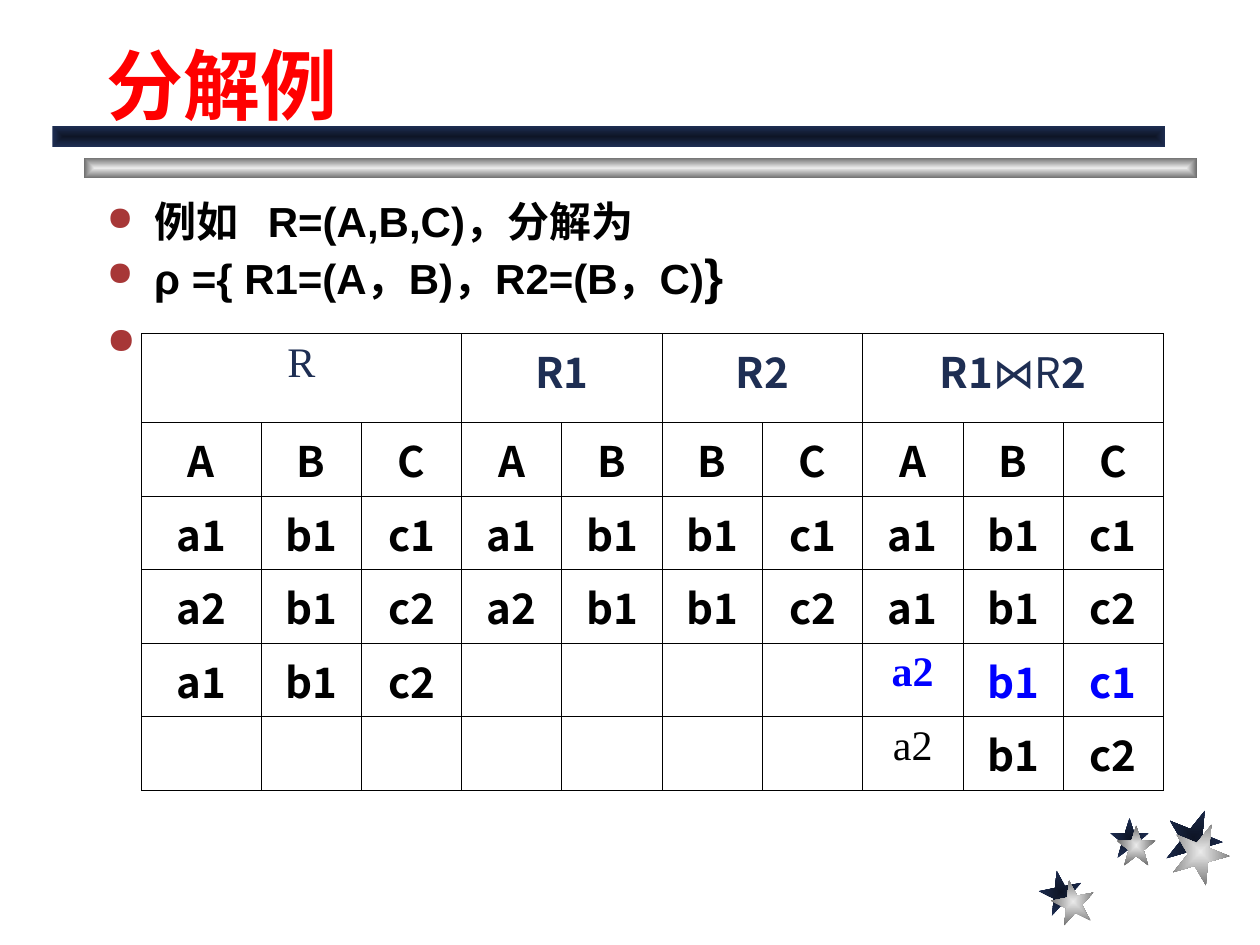
from dataclasses import dataclass
from math import cos, pi, sin

from lxml.etree import SubElement
from pptx import Presentation
from pptx.dml.color import RGBColor as Color
from pptx.enum.shapes import MSO_SHAPE as ShapeKind
from pptx.enum.text import MSO_ANCHOR as Anchor, PP_ALIGN as Align
from pptx.oxml.ns import qn
from pptx.util import Pt


@dataclass(frozen=True)
class Theme:
    navy: str = "1E2E53"
    dark_navy: str = "0E1526"
    silver: str = "EAEAEA"
    gray: str = "6C6C6C"
    red: str = "FF0000"
    bullet: str = "A73737"
    black: str = "000000"
    blue: str = "0000FF"
    sans: str = "Arial"
    cjk: str = "Noto Sans CJK SC"
    serif: str = "Times New Roman"
    title_size: float = 44
    body_size: float = 24
    brace_size: float = 28
    last_size: float = 26


THEME = Theme()
NAVY_GRADIENT = (THEME.dark_navy, THEME.navy)
SILVER_GRADIENT = (THEME.silver, THEME.gray)
HEADERS = [(0, 3, ["R"]), (3, 2, ["R1"]), (5, 2, ["R2"]), (7, 3, ["R1", "⋈R", "2"])]
ROWS = [
    "A B C A B B C A B C".split(),
    "a1 b1 c1 a1 b1 b1 c1 a1 b1 c1".split(),
    "a2 b1 c2 a2 b1 b1 c2 a1 b1 c2".split(),
    ["a1", "b1", "c2", "", "", "", "", "a2", "b1", "c1"],
    [""] * 7 + ["a2", "b1", "c2"],
]
JOIN_COLUMN = 7


def style_run(run, size, color, font, bold=True):
    run.font.size = Pt(size)
    run.font.name = font
    run.font.bold = bold
    run.font.color.rgb = Color.from_string(color)


def paint(shape, gradient):
    shape.shadow.inherit = False
    shape.line.fill.background()
    shape.fill.gradient()
    for stop, color in zip(shape.fill.gradient_stops, gradient):
        stop.color.rgb = Color.from_string(color)
    element = shape._element.spPr.find(qn("a:gradFill"))
    element.remove(element.find(qn("a:lin")))
    center = SubElement(element, qn("a:path"), path="rect")
    SubElement(center, qn("a:fillToRect"), l="50000", t="50000", r="50000", b="50000")


def add_bar(slide, left, top, gradient):
    bar = slide.shapes.add_shape(ShapeKind.RECTANGLE, Pt(left), Pt(top), Pt(636), Pt(12))
    paint(bar, gradient)


def add_star(slide, left, top, width, height, rotation, gradient):
    points = []
    for index in range(10):
        radius = 0.38 if index % 2 else 1
        angle = index * pi / 5
        across = 0.5 + radius * sin(angle) / (2 * sin(2 * pi / 5))
        down = (1 - radius * cos(angle)) / (1 + cos(pi / 5))
        points.append((Pt(left + width * across), Pt(top + height * down)))
    builder = slide.shapes.build_freeform(*points[0])
    builder.add_line_segments(points[1:], close=True)
    star = builder.convert_to_shape()
    star.rotation = rotation
    paint(star, gradient)


def add_text_box(slide, left, top, width, height, anchor):
    box = slide.shapes.add_textbox(Pt(left), Pt(top), Pt(width), Pt(height))
    box.text_frame.word_wrap = True
    box.text_frame.vertical_anchor = anchor
    return box.text_frame


def set_indent(paragraph, bulleted):
    properties = paragraph._p.get_or_add_pPr()
    properties.set("marL", str(Pt(27)))
    properties.set("indent", str(Pt(-27 if bulleted else 0)))
    if bulleted:
        color = SubElement(properties, qn("a:buClr"))
        SubElement(color, qn("a:srgbClr"), val=THEME.bullet)
        SubElement(properties, qn("a:buSzPct"), val="80000")
        SubElement(properties, qn("a:buChar"), char="●")


def add_title(slide):
    frame = add_text_box(slide, 54, 12, 612, 66, Anchor.BOTTOM)
    frame.text = "分解例"
    style_run(frame.paragraphs[0].runs[0], THEME.title_size, THEME.red, THEME.sans)


def add_body(slide):
    frame = add_text_box(slide, 54, 108, 623.5, 384, Anchor.TOP)
    frame.text = "例如\tR=(A,B,C)，分解为\nρ ={ R1=(A，B)，R2=(B，C)\n "
    example, decomposition, last = frame.paragraphs
    for paragraph in frame.paragraphs:
        set_indent(paragraph, paragraph is not decomposition)
    tabs = SubElement(example._p.pPr, qn("a:tabLst"))
    SubElement(tabs, qn("a:tab"), pos=str(Pt(92)), algn="l")
    decomposition.add_run().text = "}"
    last.space_before = Pt(6.5)
    for paragraph in frame.paragraphs:
        for run in paragraph.runs:
            style_run(run, THEME.body_size, THEME.black, THEME.sans)
    decomposition.runs[-1].font.size = Pt(THEME.brace_size)
    last.runs[0].font.size = Pt(THEME.last_size)


def set_borders(cell):
    properties = cell._tc.get_or_add_tcPr()
    for index, side in enumerate(("lnL", "lnR", "lnT", "lnB")):
        line = SubElement(properties, qn(f"a:{side}"), w=str(Pt(0.45)))
        fill = SubElement(line, qn("a:solidFill"))
        SubElement(fill, qn("a:srgbClr"), val=THEME.black)
        properties.insert(index, line)


def write_cell(cell, texts, color, font=THEME.cjk, bold=True):
    paragraph = cell.text_frame.paragraphs[0]
    paragraph.alignment = Align.CENTER
    for text in texts:
        run = paragraph.add_run()
        run.text = text
        style_run(run, THEME.body_size, color, font, bold and "⋈" not in text)


def add_relations(slide):
    frame = slide.shapes.add_table(6, 10, Pt(80.8), Pt(190.5), Pt(584.1), Pt(261))
    table = frame.table
    table.first_row = table.horz_banding = False
    for index, column in enumerate(table.columns):
        column.width = Pt(57.3 if index else 68.4)
    for index, row in enumerate(table.rows):
        row.height = Pt(42 if index else 51)
    for cell in table.iter_cells():
        cell.fill.background()
        set_borders(cell)
    for start, span, texts in HEADERS:
        cell = table.cell(0, start)
        cell.merge(table.cell(0, start + span - 1))
        plain = texts == ["R"]
        write_cell(cell, texts, THEME.navy, THEME.serif if plain else THEME.cjk, not plain)
    for row, values in enumerate(ROWS, 1):
        for column, value in enumerate(values):
            if value:
                joined = column >= JOIN_COLUMN
                serif = column == JOIN_COLUMN and row >= 4
                color = THEME.blue if joined and row == 4 else THEME.black
                font = THEME.serif if serif else THEME.cjk
                write_cell(table.cell(row, column), [value], color, font, not (serif and row == 5))


def main():
    presentation = Presentation()
    presentation.slide_width, presentation.slide_height = Pt(720), Pt(540)
    slide = presentation.slides.add_slide(presentation.slide_layouts[6])
    stars = [
        (594, 497.5, 24.5, 24.5, 349, 7, 5.5),
        (634.3, 467.3, 22.3, 23, 0, 3.8, 4.3),
        (666, 462.2, 32.4, 33.1, 22, 3.8, 8),
    ]
    for left, top, width, height, rotation, _, _ in stars:
        add_star(slide, left, top, width, height, rotation, NAVY_GRADIENT)
    for left, top, width, height, rotation, right, down in stars:
        add_star(slide, left + right, top + down, width, height, rotation, SILVER_GRADIENT)
    add_bar(slide, 48, 90, SILVER_GRADIENT)
    add_bar(slide, 30, 72, NAVY_GRADIENT)
    add_title(slide)
    add_body(slide)
    add_relations(slide)
    presentation.save("out.pptx")


if __name__ == "__main__":
    main()
